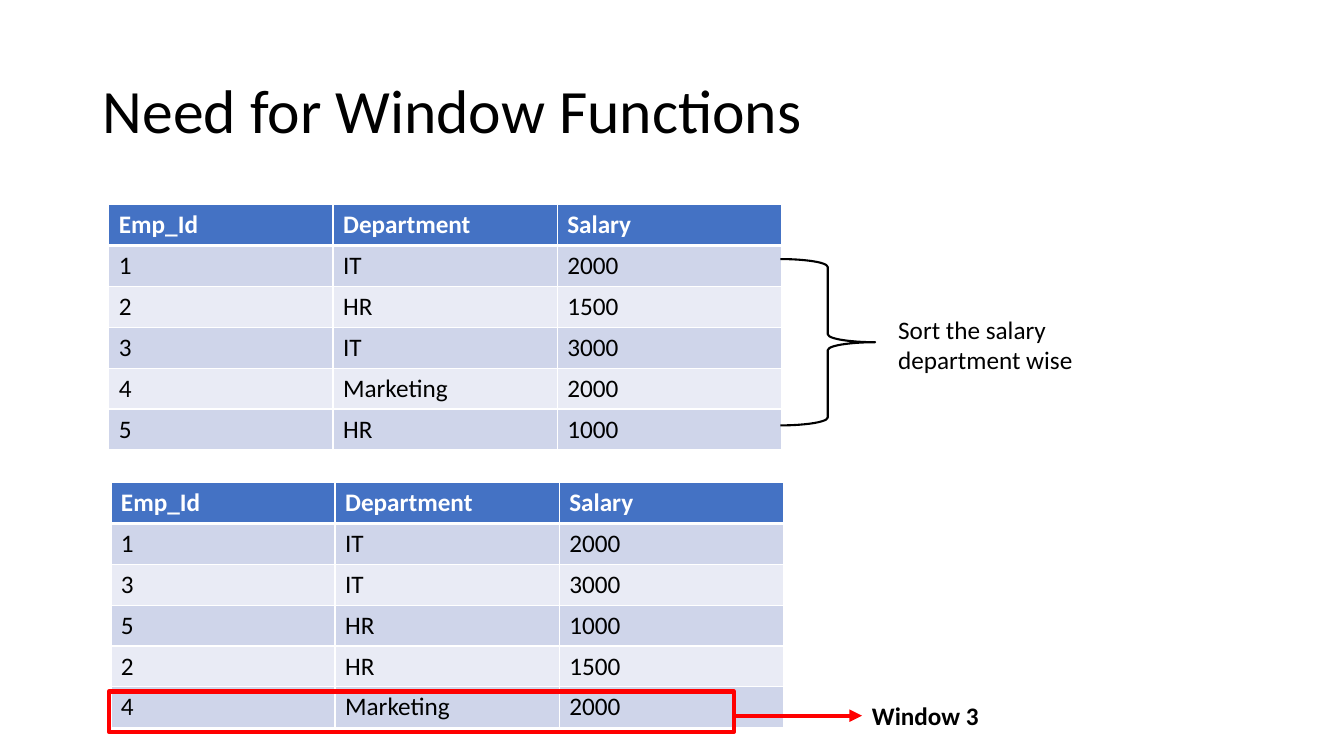
"""Build the slide on the need for window functions."""
from lxml.etree import SubElement
from pptx import Presentation
from pptx.dml.color import RGBColor
from pptx.enum.shapes import MSO_CONNECTOR, MSO_SHAPE
from pptx.enum.text import MSO_ANCHOR, MSO_AUTO_SIZE, PP_ALIGN
from pptx.oxml.ns import qn
from pptx.util import Inches, Pt

BLACK, WHITE, RED = "000000", "FFFFFF", "FF0000"
HEADER_FILL, BANDS = "4472C4", ("E9EBF5", "CFD5EA")
HEADER = ("Emp_Id", "Department", "Salary")
EMPLOYEES = [
    ("1", "IT", "2000"),
    ("2", "HR", "1500"),
    ("3", "IT", "3000"),
    ("4", "Marketing", "2000"),
    ("5", "HR", "1000"),
]
SORTED_ORDER = (1, 3, 5, 2, 4)


def rgb(color):
    """Turn a hex string into a colour."""
    return RGBColor.from_string(color)


def set_font(p, size, color=BLACK, bold=False):
    """Format the font of a paragraph."""
    p.font.name = "Calibri"
    p.font.size = Pt(size)
    p.font.bold = bold
    p.font.color.rgb = rgb(color)


def set_line(line, color, width):
    """Format an outline or a connector line."""
    line.color.rgb = rgb(color)
    line.width = Pt(width)


def add_title(slide, text):
    """Place and format the title placeholder."""
    sp = slide.shapes.title
    sp.left, sp.top = Inches(0.92), Inches(0.4)
    sp.width, sp.height = Inches(11.5), Inches(1.45)
    tf = sp.text_frame
    tf.text = text
    tf.vertical_anchor = MSO_ANCHOR.MIDDLE
    p = tf.paragraphs[0]
    p.alignment = PP_ALIGN.LEFT
    p.line_spacing = 0.9
    set_font(p, 44)


def add_text(slide, text, left, top, width, height, bold=False):
    """Add a wrapped text box."""
    sp = slide.shapes.add_textbox(Inches(left), Inches(top), Inches(width), Inches(height))
    tf = sp.text_frame
    tf.word_wrap = True
    tf.auto_size = MSO_AUTO_SIZE.SHAPE_TO_FIT_TEXT
    tf.text = text
    set_font(tf.paragraphs[0], 18, bold=bold)


def set_borders(cell, top, bottom):
    """Draw white cell borders with the given top and bottom widths."""
    tc_pr = cell._tc.get_or_add_tcPr()
    for side, width in (("L", 1), ("R", 1), ("T", top), ("B", bottom)):
        ln = SubElement(tc_pr, qn(f"a:ln{side}"), w=str(Pt(width)))
        fill = SubElement(ln, qn("a:solidFill"))
        SubElement(fill, qn("a:srgbClr"), val=WHITE)


def add_employee_table(slide, employees, left, top):
    """Add a banded table of employees under a header row."""
    rows = [HEADER, *employees]
    table = slide.shapes.add_table(
        len(rows), len(HEADER), Inches(left), Inches(top), Inches(6.67), Inches(2.43)
    ).table
    for i, row in enumerate(rows):
        is_header = i == 0
        for j, text in enumerate(row):
            cell = table.cell(i, j)
            cell.text = text
            set_font(cell.text_frame.paragraphs[0], 18, WHITE if is_header else BLACK, is_header)
            set_borders(cell, 3 if i == 1 else 1, 3 if is_header else 1)
            cell.fill.solid()
            cell.fill.fore_color.rgb = rgb(HEADER_FILL if is_header else BANDS[i % 2])


def add_outline(slide, kind, left, top, width, height, color, line_width):
    """Add an unfilled preset shape."""
    sp = slide.shapes.add_shape(kind, Inches(left), Inches(top), Inches(width), Inches(height))
    sp.shadow.inherit = False
    sp.fill.background()
    set_line(sp.line, color, line_width)


def add_arrow(slide, x1, x2, y, color, width):
    """Add a horizontal arrow."""
    cxn = slide.shapes.add_connector(
        MSO_CONNECTOR.STRAIGHT, Inches(x1), Inches(y), Inches(x2), Inches(y)
    )
    set_line(cxn.line, color, width)
    SubElement(cxn.line._get_or_add_ln(), qn("a:tailEnd"), type="triangle")
    SubElement(cxn._element.spPr, qn("a:effectLst"))


def main():
    """Build and save the slide."""
    prs = Presentation()
    prs.slide_width, prs.slide_height = Inches(13.33), Inches(7.5)
    slide = prs.slides.add_slide(prs.slide_layouts[5])
    add_title(slide, "Need for Window Functions")

    add_employee_table(slide, EMPLOYEES, 1.08, 2.03)
    add_outline(slide, MSO_SHAPE.RIGHT_BRACE, 7.74, 2.57, 0.94, 1.65, BLACK, 1.5)
    add_text(slide, "Sort the salary department wise", 8.81, 3.07, 2.35, 0.71)

    add_employee_table(slide, [EMPLOYEES[n - 1] for n in SORTED_ORDER], 1.1, 4.79)
    add_outline(slide, MSO_SHAPE.RECTANGLE, 1.08, 6.86, 6.2, 0.4, RED, 3)
    add_arrow(slide, 7.28, 8.55, 7.1, RED, 3)
    add_text(slide, "Window 3", 8.55, 6.9, 2.2, 0.4, bold=True)
    prs.save("out.pptx")


main()
